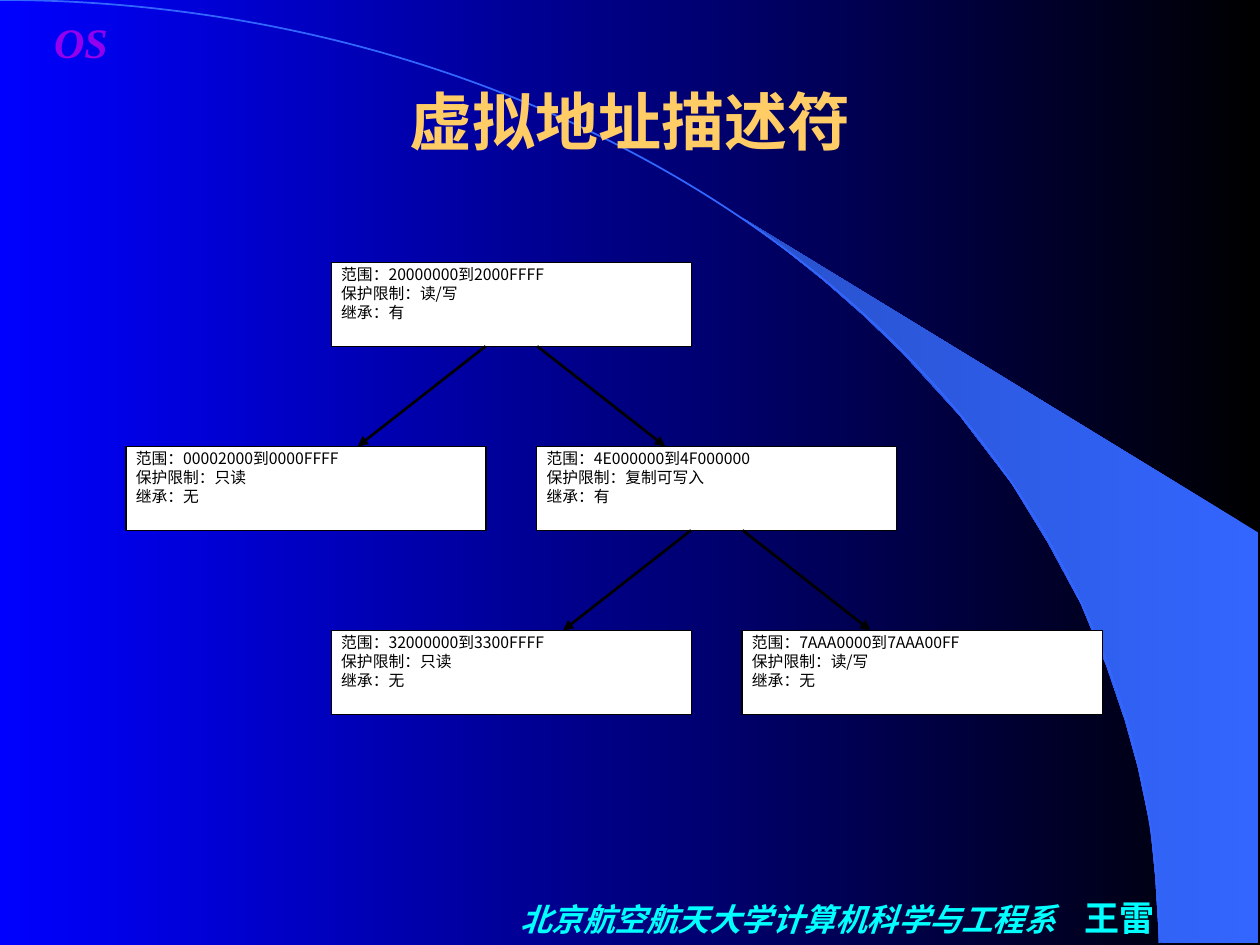
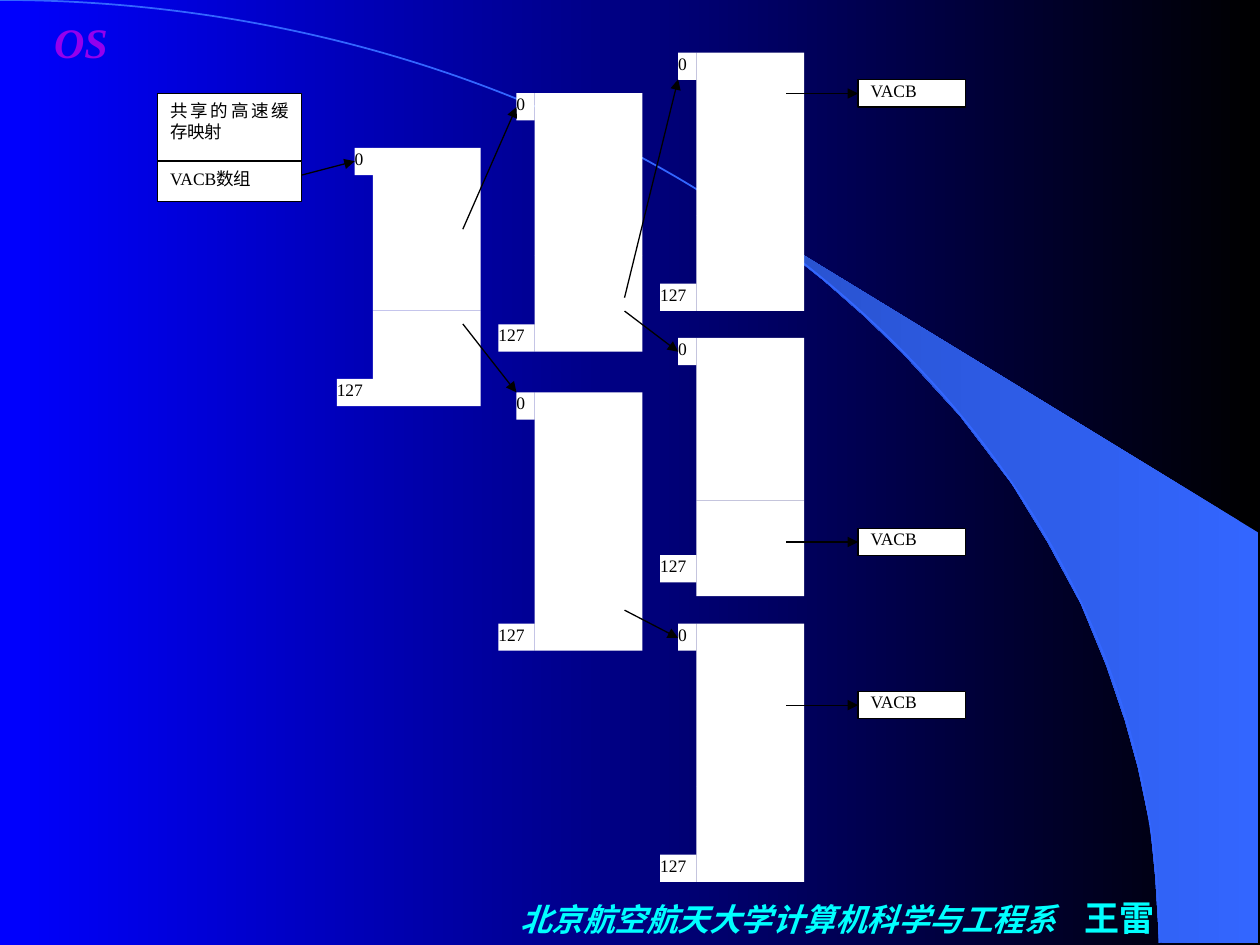
from lxml.etree import SubElement
from pptx import Presentation
from pptx.dml.color import RGBColor
from pptx.enum.shapes import MSO_CONNECTOR as LINK, MSO_SHAPE as SHAPE
from pptx.enum.text import MSO_ANCHOR as ANCHOR, PP_ALIGN as ALIGN
from pptx.oxml.ns import qn
from pptx.util import Cm, Pt

CJK, SERIF = "Noto Sans CJK SC", "Times New Roman"
THEME = {
    "black": RGBColor.from_string("000000"),
    "white": RGBColor.from_string("FFFFFF"),
    "arc": RGBColor.from_string("3366FF"),
    "background": ("000000", "0000FF"),
    "wedge": ("3366FF", "2851CB"),
    "mark": ("9400ED", "0000FF"),
    "mark_outline": "EAEAEA",
    "fonts": {
        "title": ("FFCC66", dict(name="Arial", size=Pt(36), bold=True)),
        "department": ("00FFFF", dict(name=SERIF, size=Pt(18), bold=True, italic=True)),
        "author": ("00FFFF", dict(name=SERIF, size=Pt(20), bold=True, italic=False)),
        "mark": ("9400ED", dict(name=SERIF, size=Pt(24), bold=True, italic=True)),
        "node": ("000000", dict(name=CJK, size=Pt(9))),
        "cache": ("000000", dict(name=SERIF, size=Pt(10))),
    },
}
STANDARD_INSETS = (0.25, 0.13, 0.25, 0.13)
NODE_INSETS = (0.2, 0.05, 0.2, 0)
VACB_INSETS = (0.25, 0, 0.25, 0)
NO_INSETS = (0, 0, 0, 0)


def set_text(frame, lines, align, insets, anchor=ANCHOR.TOP, wrap=True):
    """Fill a frame with lines, each a list of (text, font key) runs."""
    left, top, right, bottom = (Cm(inset) for inset in insets)
    layout = dict(margin_left=left, margin_top=top, margin_right=right,
                  margin_bottom=bottom, vertical_anchor=anchor, word_wrap=wrap)
    for attribute, value in layout.items():
        setattr(frame, attribute, value)
    for index, runs in enumerate(lines):
        paragraph = frame.add_paragraph() if index else frame.paragraphs[0]
        paragraph.alignment = align
        for text, font_key in runs:
            run = paragraph.add_run()
            run.text = text
            colour, font_format = THEME["fonts"][font_key]
            for attribute, value in font_format.items():
                setattr(run.font, attribute, value)
            run.font.color.rgb = RGBColor.from_string(colour)
            SubElement(run._r.get_or_add_rPr(), qn("a:ea"), typeface=CJK)


def draw_box(slide, area, lines=(), font_key="cache", insets=NO_INSETS, outlined=False):
    """Draw a white rectangle with justified text."""
    box = slide.shapes.add_shape(SHAPE.RECTANGLE, *(Cm(length) for length in area))
    box.shadow.inherit = False
    box.fill.solid()
    box.fill.fore_color.rgb = THEME["white"]
    if outlined:
        box.line.color.rgb = THEME["black"]
        box.line.width = Pt(0.75)
    else:
        box.line.fill.background()
    if lines:
        set_text(box.text_frame, [[(line, font_key)] for line in lines],
                 ALIGN.JUSTIFY, insets)


prs = Presentation()
prs.slide_width, prs.slide_height = Cm(25.4), Cm(19.05)
master = prs.slide_master
descriptor_slide = prs.slides.add_slide(prs.slide_layouts[5])
cache_slide = prs.slides.add_slide(prs.slide_layouts[6])

# Shared decoration: wedge, arc, footer and mark
WEDGE_POINTS = [
    (23.37, 19), (25.37, 19.02), (25.37, 10.74), (14.96, 4.39), (15.85, 5.05),
    (16.59, 5.64), (17.4, 6.35), (18.19, 7.11), (19.35, 8.38), (20.4, 9.75),
    (21.13, 10.95), (21.79, 12.17), (22.3, 13.41), (22.68, 14.53),
    (22.94, 15.47), (23.19, 16.66), (23.29, 17.68),
]
corners = [(Cm(x), Cm(y)) for x, y in WEDGE_POINTS]
outline = descriptor_slide.shapes.build_freeform(*corners[0])
outline.add_line_segments(corners[1:], close=True)
wedge = outline.convert_to_shape()
wedge.shadow.inherit = False
wedge.line.fill.background()

arc = descriptor_slide.shapes.add_shape(
    SHAPE.ARC, Cm(-23.37), Cm(0), Cm(46.74), Cm(38.02))
arc.shadow.inherit = False
arc.fill.background()
arc.line.color.rgb = THEME["arc"]
arc.line.width = Pt(1)

footer = descriptor_slide.shapes.add_textbox(Cm(9.73), Cm(17.86), Cm(14.05), Cm(1.27))
tab_stops = SubElement(footer.text_frame.paragraphs[0]._p.get_or_add_pPr(), qn("a:tabLst"))
SubElement(tab_stops, qn("a:tab"), pos=str(Cm(11.38)), algn="l")
set_text(footer.text_frame,
         [[("北京航空航天大学计算机科学与工程系\t", "department"), ("王雷", "author")]],
         ALIGN.LEFT, (0.76, 0.13, 0.25, 0.13), ANCHOR.MIDDLE)

mark = descriptor_slide.shapes.add_textbox(Cm(0.84), Cm(0.2), Cm(2.11), Cm(1.07))
set_text(mark.text_frame, [[("OS", "mark")]], ALIGN.LEFT, STANDARD_INSETS, wrap=False)
mark_run = mark.text_frame.paragraphs[0].runs[0]

# Gradients, all running from right to left
for fill, colours in [(master.background.fill, THEME["background"]),
                      (wedge.fill, THEME["wedge"]),
                      (mark_run.font.fill, THEME["mark"])]:
    fill.gradient()
    fill.gradient_angle = 180
    for stop, colour, position in zip(fill.gradient_stops, colours, (0, 1)):
        stop.color.rgb = RGBColor.from_string(colour)
        stop.position = position

mark_properties = mark_run._r.get_or_add_rPr()
mark_line = SubElement(mark_properties, qn("a:ln"), w=str(Pt(1)))
SubElement(SubElement(mark_line, qn("a:solidFill")), qn("a:srgbClr"),
           val=THEME["mark_outline"])
mark_properties.insert(0, mark_line)

# Move the decoration to the master, behind its placeholders
for index, part in enumerate((wedge, arc, footer, mark)):
    part._element.nvSpPr.cNvPr.set("id", str(20 + index))
    master.shapes._spTree.insert(2 + index, part._element)

arrows = []  # (slide, line width, start, end)

# Slide 1: tree of virtual address descriptors
title = descriptor_slide.shapes.title
for attribute, length in dict(left=1.9, top=0.84, width=21.59, height=3.18).items():
    setattr(title, attribute, Cm(length))
set_text(title.text_frame, [[("虚拟地址描述符", "title")]], ALIGN.CENTER,
         STANDARD_INSETS, ANCHOR.MIDDLE)

TREE_LEFT, TREE_TOP, COLUMN_STEP, ROW_STEP = 2.54, 5.29, 4.14, 3.71
NODE_WIDTH, NODE_HEIGHT = 7.26, 1.69
descriptors = [  # column, row, range, protection, inheritance
    (1, 0, "20000000到2000FFFF", "读/写", "有"),
    (0, 1, "00002000到0000FFFF", "只读", "无"),
    (2, 1, "4E000000到4F000000", "复制可写入", "有"),
    (1, 2, "32000000到3300FFFF", "只读", "无"),
    (3, 2, "7AAA0000到7AAA00FF", "读/写", "无"),
]
for column, row, address_range, protection, inheritance in descriptors:
    area = (TREE_LEFT + column * COLUMN_STEP, TREE_TOP + row * ROW_STEP,
            NODE_WIDTH, NODE_HEIGHT)
    draw_box(descriptor_slide, area,
             [f"范围：{address_range}", f"保护限制：{protection}", f"继承：{inheritance}"],
             "node", NODE_INSETS, outlined=True)

for column, row in [(1, 0), (2, 1)]:
    centre = TREE_LEFT + column * COLUMN_STEP + NODE_WIDTH / 2
    top = TREE_TOP + row * ROW_STEP
    for side in (-1, 1):
        arrows.append((descriptor_slide, 1.5,
                       (centre + side * 0.52, top + NODE_HEIGHT),
                       (centre + side * (COLUMN_STEP - 1.04), top + ROW_STEP)))

# Slide 2: shared cache map
draw_box(cache_slide, (3.18, 1.88, 2.9, 1.37), ["共享的高速缓存映射"],
         insets=STANDARD_INSETS, outlined=True)
draw_box(cache_slide, (3.18, 3.25, 2.9, 0.81), ["VACB数组"],
         insets=STANDARD_INSETS, outlined=True)

# Index arrays, each of two blocks with its first and last index
ARRAY_LEFT, ARRAY_STEP, ARRAY_WIDTH = 7.52, 3.26, 2.17
UPPER, LOWER, LABEL_HEIGHT = 3.28, 1.93, 0.55
FIRST_WIDTH, LAST_WIDTH, POINTER_INSET = 0.37, 0.73, 1.81
index_arrays = [  # column, top, rise of the last index
    (0, 2.98, 0), (1, 1.88, 0), (1, 7.91, 0),
    (2, 1.06, 0), (2, 6.81, 0.28), (2, 12.57, 0),
]
for column, top, rise in index_arrays:
    left = ARRAY_LEFT + column * ARRAY_STEP
    last_top = top + UPPER + LOWER - LABEL_HEIGHT - rise
    draw_box(cache_slide, (left, top, ARRAY_WIDTH, UPPER))
    draw_box(cache_slide, (left, top + UPPER, ARRAY_WIDTH, LOWER))
    draw_box(cache_slide, (left - FIRST_WIDTH, top, FIRST_WIDTH, LABEL_HEIGHT), ["0"])
    draw_box(cache_slide, (left - LAST_WIDTH, last_top, LAST_WIDTH, LABEL_HEIGHT), ["127"])

# Pointers between arrays
arrows.append((cache_slide, 0.75, (6.08, 3.53), (ARRAY_LEFT - FIRST_WIDTH, 3.25)))
for column, start_y, end_y in [(0, 4.62, 2.16), (0, 6.53, 7.91), (1, 6, 1.6),
                               (1, 6.27, 7.09), (1, 12.3, 12.86)]:
    left = ARRAY_LEFT + column * ARRAY_STEP
    arrows.append((cache_slide, 0.75, (left + POINTER_INSET, start_y),
                   (left + ARRAY_STEP - FIRST_WIDTH, end_y)))

# VACB entries and their pointers
vacb_left = ARRAY_LEFT + 3 * ARRAY_STEP
for top in (1.61, 10.65, 13.94):
    middle = top + LABEL_HEIGHT / 2
    draw_box(cache_slide, (vacb_left, top, ARRAY_WIDTH, LABEL_HEIGHT), ["VACB"],
             insets=VACB_INSETS, outlined=True)
    arrows.append((cache_slide, 0.75,
                   (vacb_left - ARRAY_STEP + POINTER_INSET, middle), (vacb_left, middle)))

# Arrows of both slides
for slide, width, start, end in arrows:
    arrow = slide.shapes.add_connector(
        LINK.STRAIGHT, *(Cm(length) for length in start + end))
    arrow.line.color.rgb = THEME["black"]
    arrow.line.width = Pt(width)
    SubElement(arrow.line._get_or_add_ln(), qn("a:tailEnd"), type="triangle")
    SubElement(arrow._element.spPr, qn("a:effectLst"))

prs.save("out.pptx")
